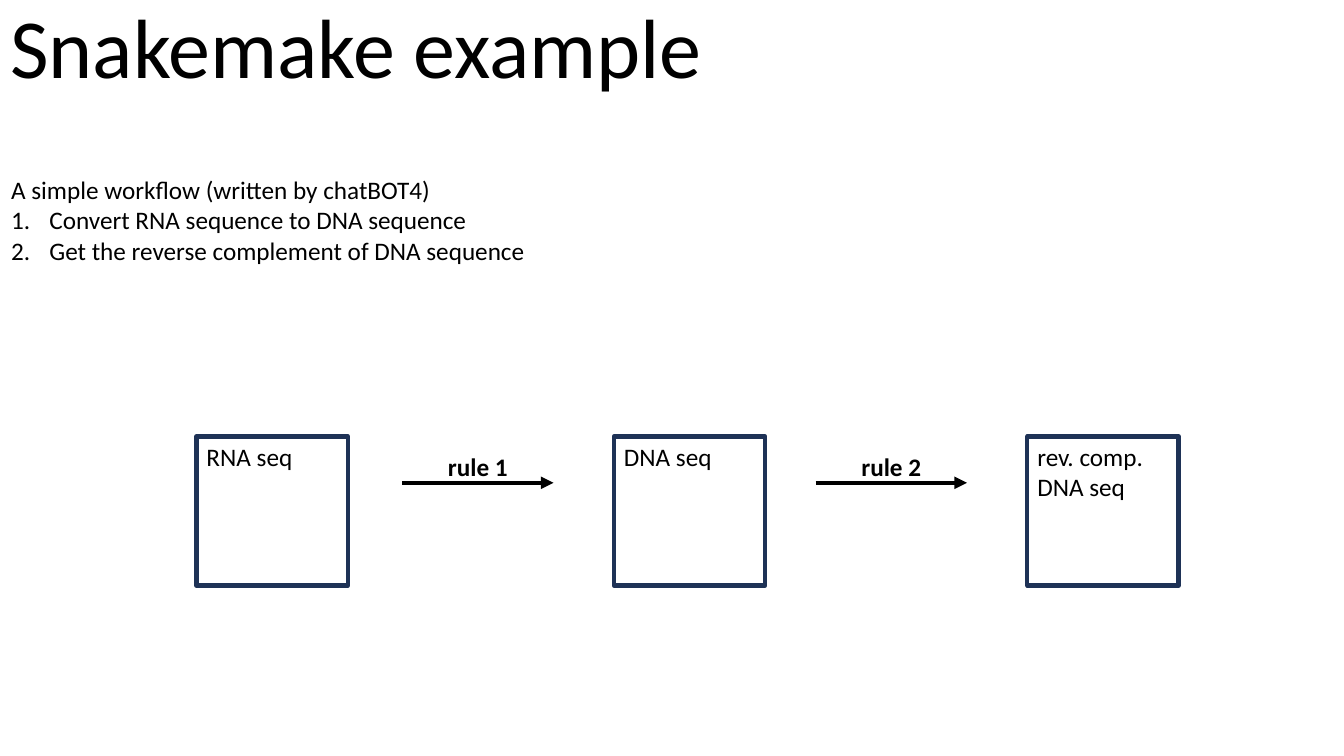
import pptx
import pptx.util
import pptx.dml.color
import pptx.enum.shapes
import pptx.enum.text
import pptx.oxml.ns
from lxml import etree

Inches, Pt = pptx.util.Inches, pptx.util.Pt
ALIGN = pptx.enum.text.PP_ALIGN
ANCHOR = pptx.enum.text.MSO_ANCHOR

TITLE = "Snakemake example"
INTRO = "A simple workflow (written by chatBOT4)"
STEPS = [
    "Convert RNA sequence to DNA sequence",
    "Get the reverse complement of DNA sequence",
]
STAGES = [("RNA seq", 1.95), ("DNA seq", 6.09), ("rev. comp. DNA seq", 10.19)]
RULES = ["rule 1", "rule 2"]
COLORS = {"text": "000000", "box": "FFFFFF", "border": "1E3256"}

BOX_TOP, BOX_W, BOX_H = 4.33, 1.5, 1.48
ARROW_Y, ARROW_W, ARROW_GAP = 4.79, 1.5, 0.6
LABEL_W, LABEL_H = 1.31, 0.4


def rgb(name):
    return pptx.dml.color.RGBColor.from_string(COLORS[name])


def add_xml(parent, tag, **attrs):
    return etree.SubElement(parent, pptx.oxml.ns.qn(tag), attrs)


def place(s, left, top, width, height):
    s.left, s.top = Inches(left), Inches(top)
    s.width, s.height = Inches(width), Inches(height)


def write(s, *lines, size=18, bold=False, align=ALIGN.LEFT, anchor=ANCHOR.TOP, spacing=1.0):
    """Fill a shape with one paragraph per line."""
    tf = s.text_frame
    tf.word_wrap = True
    tf.auto_size = pptx.enum.text.MSO_AUTO_SIZE.NONE
    tf.vertical_anchor = anchor
    for i, line in enumerate(lines):
        p = tf.add_paragraph() if i else tf.paragraphs[0]
        p.alignment, p.line_spacing = align, spacing
        p.space_before = p.space_after = Pt(0)
        r = p.add_run()
        r.text = line
        r.font.name, r.font.size, r.font.bold = "Calibri", Pt(size), bold
        r.font.color.rgb = rgb("text")


def set_numbering(p, numbered):
    pPr = p._p.get_or_add_pPr()
    indent = Inches(0.38) if numbered else 0
    pPr.set("marL", str(indent))
    pPr.set("indent", str(-indent))
    if numbered:
        add_xml(pPr, "a:buFont", typeface="+mj-lt")
        add_xml(pPr, "a:buAutoNum", type="arabicPeriod")
    else:
        add_xml(pPr, "a:buNone")


def add_stage(slide, text, left):
    s = slide.shapes.add_shape(
        pptx.enum.shapes.MSO_SHAPE.RECTANGLE,
        Inches(left), Inches(BOX_TOP), Inches(BOX_W), Inches(BOX_H))
    s.shadow.inherit = False
    s.fill.solid()
    s.fill.fore_color.rgb = rgb("box")
    s.line.color.rgb = rgb("border")
    s.line.width = Pt(3)
    write(s, text)


def add_rule(slide, text, next_left):
    """Draw a labelled arrow that ends just before the next stage."""
    end = next_left - ARROW_GAP
    start = end - ARROW_W
    arrow = slide.shapes.add_connector(
        pptx.enum.shapes.MSO_CONNECTOR.STRAIGHT,
        Inches(start), Inches(ARROW_Y), Inches(end), Inches(ARROW_Y))
    arrow.line.color.rgb = rgb("text")
    arrow.line.width = Pt(3)
    add_xml(arrow.line._get_or_add_ln(), "a:tailEnd", type="triangle")
    add_xml(arrow._element.spPr, "a:effectLst")
    label = slide.shapes.add_textbox(
        Inches(start + (ARROW_W - LABEL_W) / 2), Inches(ARROW_Y - 0.36),
        Inches(LABEL_W), Inches(LABEL_H))
    write(label, text, bold=True, align=ALIGN.CENTER)


def main():
    prs = pptx.Presentation()
    prs.slide_width, prs.slide_height = Inches(13.33), Inches(7.5)
    slide = prs.slides.add_slide(prs.slide_layouts[1])

    title, body = slide.placeholders
    place(title, 0, 0, 13.33, 1.01)
    write(title, TITLE, size=60, anchor=ANCHOR.BOTTOM, spacing=0.9)
    place(body, 0.01, 1.68, 5.35, 1.01)
    write(body, INTRO, *STEPS)
    for i, p in enumerate(body.text_frame.paragraphs):
        set_numbering(p, numbered=i > 0)

    for text, left in STAGES:
        add_stage(slide, text, left)
    for text, (_, next_left) in zip(RULES, STAGES[1:]):
        add_rule(slide, text, next_left)

    prs.save("out.pptx")


if __name__ == "__main__":
    main()
